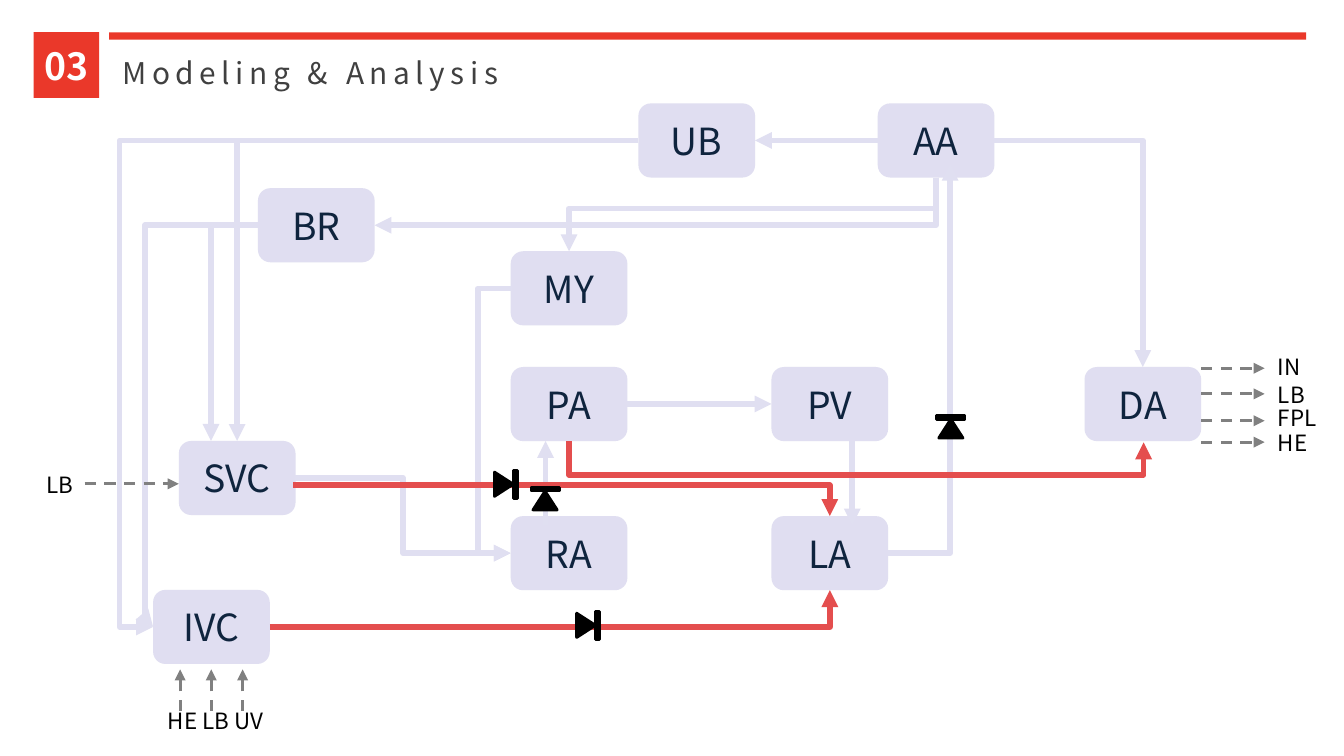
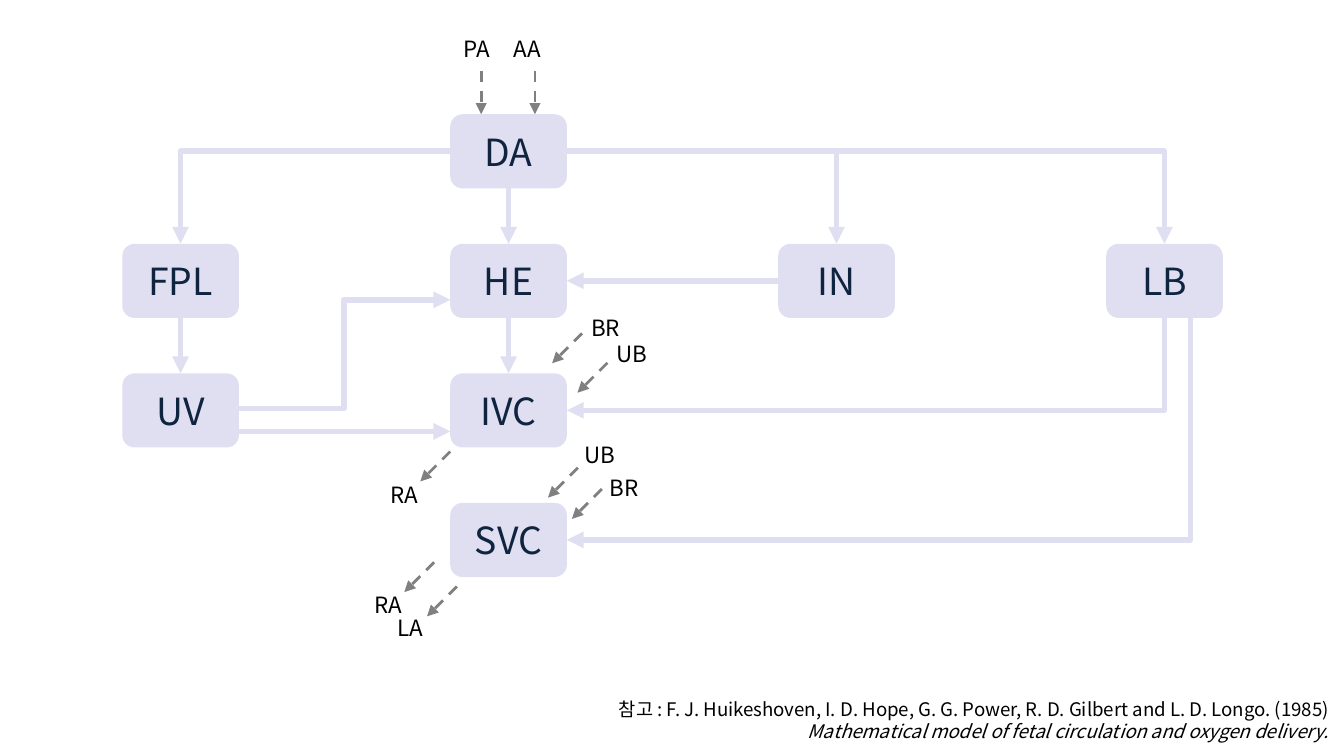
from pptx import Presentation
from pptx.dml.color import RGBColor
from pptx.enum.dml import MSO_LINE
from pptx.enum.shapes import MSO_CONNECTOR, MSO_SHAPE
from pptx.enum.text import MSO_ANCHOR, MSO_AUTO_SIZE, PP_ALIGN
from pptx.oxml.ns import qn
from pptx.util import Pt
from lxml.etree import SubElement

FONT = "Noto Sans CJK KR"
RED, TITLE_GREY, WHITE, BLACK = "EA382A", "404040", "FFFFFF", "000000"
NODE_FILL, NODE_TEXT = "D7D5ED", "0F243E"
FLOW, SHUNT, OUTSIDE = "E0DFF1", "E44E4E", "808080"
NODE_W, NODE_H = 62.5, 39.7


def rgb(code):
    """Return the colour for a hex string."""
    return RGBColor.from_string(code)


def style(paragraph, size, color, align=PP_ALIGN.LEFT, bold=False, italic=False, spacing=0):
    """Set the font and alignment of a paragraph."""
    font = paragraph.font
    font.name, font.size, font.bold, font.italic = FONT, Pt(size), bold, italic
    font.color.rgb = rgb(color)
    SubElement(font._rPr, qn("a:ea")).set("typeface", FONT)
    if spacing:
        font._rPr.set("spc", str(spacing * 100))
    paragraph.alignment = align


def add_block(shapes, preset, box, fill):
    """Add a plain filled shape without outline or shadow."""
    block = shapes.add_shape(preset, *map(Pt, box))
    block.shadow.inherit = False
    block.fill.solid()
    block.fill.fore_color.rgb = rgb(fill)
    block.line.fill.background()
    return block


def add_label(slide, text, left, top, width=NODE_W):
    """Add a small name beside a dashed arrow."""
    frame = slide.shapes.add_textbox(Pt(left), Pt(top), Pt(width), Pt(21.8)).text_frame
    frame.word_wrap = True
    frame.text = text
    style(frame.paragraphs[0], 12, BLACK)


def add_header(slide, number, title, left, top, width):
    """Place the section number, the red rule and the slide title."""
    side = 35.2
    square = add_block(slide.shapes, MSO_SHAPE.RECTANGLE, (left, top, side, side), RED)
    frame = square.text_frame
    frame.margin_left = frame.margin_right = frame.margin_top = frame.margin_bottom = 0
    frame.vertical_anchor = MSO_ANCHOR.MIDDLE
    frame.text = number
    style(frame.paragraphs[0], 20, WHITE, PP_ALIGN.CENTER, bold=True)
    text_left = left + side + 5.2
    add_block(slide.shapes, MSO_SHAPE.RECTANGLE,
              (text_left, top, left + width - text_left, 4), RED)
    heading = slide.shapes.title
    heading.left, heading.top = Pt(text_left), Pt(top + 8.6)
    heading.width, heading.height = Pt(278.6), Pt(26.6)
    frame = heading.text_frame
    frame.auto_size = MSO_AUTO_SIZE.NONE
    frame.vertical_anchor = MSO_ANCHOR.TOP
    frame.text = title
    style(frame.paragraphs[0], 16, TITLE_GREY, spacing=3)


def add_nodes(slide, places):
    """Draw one rounded compartment for each name and place."""
    for name, (left, top) in places.items():
        node = add_block(slide.shapes, MSO_SHAPE.FLOWCHART_ALTERNATE_PROCESS,
                         (left, top, NODE_W, NODE_H), NODE_FILL)
        tint = node._element.spPr.find(".//" + qn("a:srgbClr"))
        SubElement(tint, qn("a:alpha")).set("val", "77000")
        node.text_frame.vertical_anchor = MSO_ANCHOR.MIDDLE
        node.text_frame.text = name
        style(node.text_frame.paragraphs[0], 20, NODE_TEXT, PP_ALIGN.CENTER)


def port(place, side, shift=0):
    """Return a point on one side of a node, shifted along that side."""
    left, top = place
    if side in ("left", "right"):
        return left + NODE_W * (side == "right"), top + NODE_H / 2 + shift
    return left + NODE_W / 2 + shift, top + NODE_H * (side == "bottom")


def finish_arrow(connector, color, width, dashed=False):
    """Give a connector its line, arrowhead and no shadow."""
    connector.line.color.rgb = rgb(color)
    connector.line.width = Pt(width)
    if dashed:
        connector.line.dash_style = MSO_LINE.DASH
    properties = connector._element.spPr
    SubElement(properties.find(qn("a:ln")), qn("a:tailEnd")).set("type", "triangle")
    SubElement(properties, qn("a:effectLst"))


def add_straight(slide, start, end, color=FLOW, width=3, dashed=False):
    """Draw a straight arrow."""
    arrow = slide.shapes.add_connector(MSO_CONNECTOR.STRAIGHT, *map(Pt, (*start, *end)))
    finish_arrow(arrow, color, width, dashed)


def add_outside(slide, start, end):
    """Draw a dashed arrow to or from another diagram."""
    add_straight(slide, start, end, OUTSIDE, 1.5, True)


def add_bent(slide, start, end, turn=None, down_first=False, color=FLOW):
    """Draw a right-angled arrow with one corner, or two corners at a turn."""
    dx, dy = end[0] - start[0], end[1] - start[1]
    center_x, center_y = start[0] + dx / 2, start[1] + dy / 2
    along, across = (dy, -dx) if down_first else (dx, dy)
    arrow = slide.shapes.add_connector(
        MSO_CONNECTOR.ELBOW,
        Pt(center_x - along / 2), Pt(center_y - across / 2),
        Pt(center_x + along / 2), Pt(center_y + across / 2))
    if down_first:
        arrow.rotation = 90
    geometry = arrow._element.spPr.find(qn("a:prstGeom"))
    if turn is None:
        geometry.set("prst", "bentConnector2")
    else:
        ratio = (turn - start[1 if down_first else 0]) / along
        guides = geometry.find(qn("a:avLst"))
        if guides is None:
            guides = SubElement(geometry, qn("a:avLst"))
        guide = SubElement(guides, qn("a:gd"))
        guide.set("name", "adj1")
        guide.set("fmla", f"val {round(ratio * 100000)}")
    finish_arrow(arrow, color, 3)


def add_valve(slide, center_x, center_y, rotation):
    """Draw a one-way valve that points up before it is rotated."""
    width, height, bar = 15.1, 12.2, 2.1
    top = center_y - height / 2
    valve = slide.shapes.add_group_shape()
    parts = ((MSO_SHAPE.ISOSCELES_TRIANGLE, (center_x - 6.5, top + bar, 13, height - bar)),
             (MSO_SHAPE.RECTANGLE, (center_x - width / 2, top, width, bar)))
    for preset, box in parts:
        part = add_block(valve.shapes, preset, box, BLACK)
        part.line.color.rgb = rgb(BLACK)
        part.line.width = Pt(1.5)
    valve.rotation = rotation


def add_heart_flows(slide, at):
    """Connect the compartments of the upper circulation."""
    add_straight(slide, port(at["PA"], "right"), port(at["PV"], "left"))
    add_straight(slide, port(at["AA"], "left"), port(at["UB"], "right"))
    add_straight(slide, port(at["PV"], "bottom", 12), port(at["LA"], "top", 12)[:1] + (281.5,))
    add_straight(slide, (292.3, 281.5), port(at["PA"], "bottom", -12.55))
    for source, turn, shift in (("BR", 77.8, -14), ("UB", 64.1, 0)):
        origin = port(at[source], "left")
        add_bent(slide, origin, port(at["IVC"], "left"), turn)
        add_bent(slide, origin, port(at["SVC"], "top", shift))
    aorta = port(at["AA"], "bottom")
    add_bent(slide, aorta, port(at["BR"], "right"), down_first=True)
    add_bent(slide, aorta, port(at["MY"], "top"), 111.6, down_first=True)
    add_bent(slide, port(at["AA"], "right"), port(at["DA"], "top"))
    add_bent(slide, port(at["LA"], "right"), (509, 87.8))
    add_bent(slide, port(at["SVC"], "right"), port(at["RA"], "left"), 216)
    add_bent(slide, (274.3, 154.5), port(at["RA"], "left"), 256.3)
    add_bent(slide, port(at["PA"], "bottom"), (612.7, 237), 254.2, True, SHUNT)
    add_bent(slide, port(at["IVC"], "right"), port(at["LA"], "bottom"), color=SHUNT)
    add_bent(slide, (157, 260), port(at["LA"], "top"), color=SHUNT)


def add_heart_outside(slide, at):
    """Draw the dashed links of the upper circulation with their names."""
    edge = at["DA"][0] + NODE_W
    outputs = (("IN", 197.3, 185.8), ("LB", 211, 200.9),
               ("FPL", 225.4, 213.1), ("HE", 236.9, 226.1))
    for name, y, label_top in outputs:
        add_outside(slide, (edge, y), (677.5, y))
        add_label(slide, name, 677.5, label_top)
    add_outside(slide, (45.4, 259.2), (at["SVC"][0], 259.2))
    add_label(slide, "LB", 18, 249.1)
    for x in (96.5, 113.2, 130):
        add_outside(slide, (x, 380.9), (x, 358.6))
    add_label(slide, "HE LB UV", 82.8, 375.1, 77)


def build_heart_slide(deck):
    """Build the slide of the upper circulation."""
    slide = deck.slides.add_slide(deck.slide_layouts[5])
    add_header(slide, "03", "Modeling & Analysis", 18, 17.3, 681.8)
    at = {"SVC": (95.8, 236.2), "IVC": (82, 316), "RA": (273.6, 276.5),
          "LA": (413.3, 276.5), "PA": (273.6, 196.6), "PV": (413.3, 196.6),
          "AA": (470.2, 55.4), "DA": (581, 196.6), "UB": (342, 55.4),
          "MY": (273.6, 134.6), "BR": (138.2, 100.8)}
    add_nodes(slide, at)
    add_heart_flows(slide, at)
    add_heart_outside(slide, at)
    for valve in ((271, 259.4, 90), (315, 335, 90), (509.4, 228.6, 0), (292, 267.1, 0)):
        add_valve(slide, *valve)


def add_body_flows(slide, at):
    """Connect the compartments of the lower circulation."""
    for upper, lower in (("DA", "HE"), ("FPL", "UV"), ("HE", "IVC")):
        add_straight(slide, port(at[upper], "bottom"), port(at[lower], "top"))
    add_straight(slide, port(at["UV"], "right", 11.3), port(at["IVC"], "left", 11.3))
    add_straight(slide, port(at["IN"], "left"), port(at["HE"], "right"))
    add_bent(slide, port(at["UV"], "right", -1), port(at["HE"], "left", 10.2), 184.3)
    for side, target in (("left", "FPL"), ("right", "IN"), ("right", "LB")):
        add_bent(slide, port(at["DA"], side), port(at[target], "top"))
    for shift, target in ((0, "IVC"), (14, "SVC")):
        add_bent(slide, port(at["LB"], "bottom", shift), port(at[target], "right"),
                 down_first=True)


def add_body_outside(slide, at):
    """Draw the dashed links of the lower circulation with their names."""
    for name, x, label_left in (("PA", 257.8, 241.2), ("AA", 286.6, 268.2)):
        add_outside(slide, (x, 38.2), (x, at["DA"][1]))
        add_label(slide, name, label_left, 15.1)
    links = (("UB", 325.4, 194.4, 323.3, 178.6), ("BR", 311.8, 178.6, 309.6, 164.9),
             ("RA", 241.2, 241.9, 202.3, 254.2), ("UB", 309.6, 250.6, 306, 232.6),
             ("BR", 322.4, 262, 319.7, 250.6), ("RA", 232.6, 301.2, 193.7, 313.2),
             ("LA", 244.8, 314.2, 205.9, 325.4))
    for name, x, y, label_left, label_top in links:
        add_outside(slide, (x, y), (x - 16, y + 16))
        add_label(slide, name, label_left, label_top)


def add_reference(slide, left, top, width, height):
    """Place the source of the model at the lower right."""
    frame = slide.shapes.add_textbox(Pt(left), Pt(top), Pt(width), Pt(height)).text_frame
    frame.word_wrap = True
    frame.text = ("참고 : F. J. Huikeshoven, I. D. Hope, G. G. Power, R. D. Gilbert "
                  "and L. D. Longo. (1985)\n"
                  "Mathematical model of fetal circulation and oxygen delivery.")
    authors, work = frame.paragraphs
    style(authors, 10, BLACK, PP_ALIGN.RIGHT)
    style(work, 10, BLACK, PP_ALIGN.RIGHT, italic=True)


def build_body_slide(deck):
    """Build the slide of the lower circulation."""
    slide = deck.slides.add_slide(deck.slide_layouts[6])
    add_reference(slide, 208.1, 370.1, 510.5, 43.9)
    cells = {"DA": (1, 0), "IN": (2, 1), "FPL": (0, 1), "LB": (3, 1),
             "HE": (1, 1), "IVC": (1, 2), "SVC": (1, 3), "UV": (0, 2)}
    at = {name: (65.5 + 175.7 * column, 61.2 + 69.4 * row)
          for name, (column, row) in cells.items()}
    add_nodes(slide, at)
    add_body_flows(slide, at)
    add_body_outside(slide, at)


def main():
    """Build and save the presentation."""
    deck = Presentation()
    deck.slide_width, deck.slide_height = Pt(720), Pt(405)
    build_heart_slide(deck)
    build_body_slide(deck)
    deck.save("out.pptx")


main()
